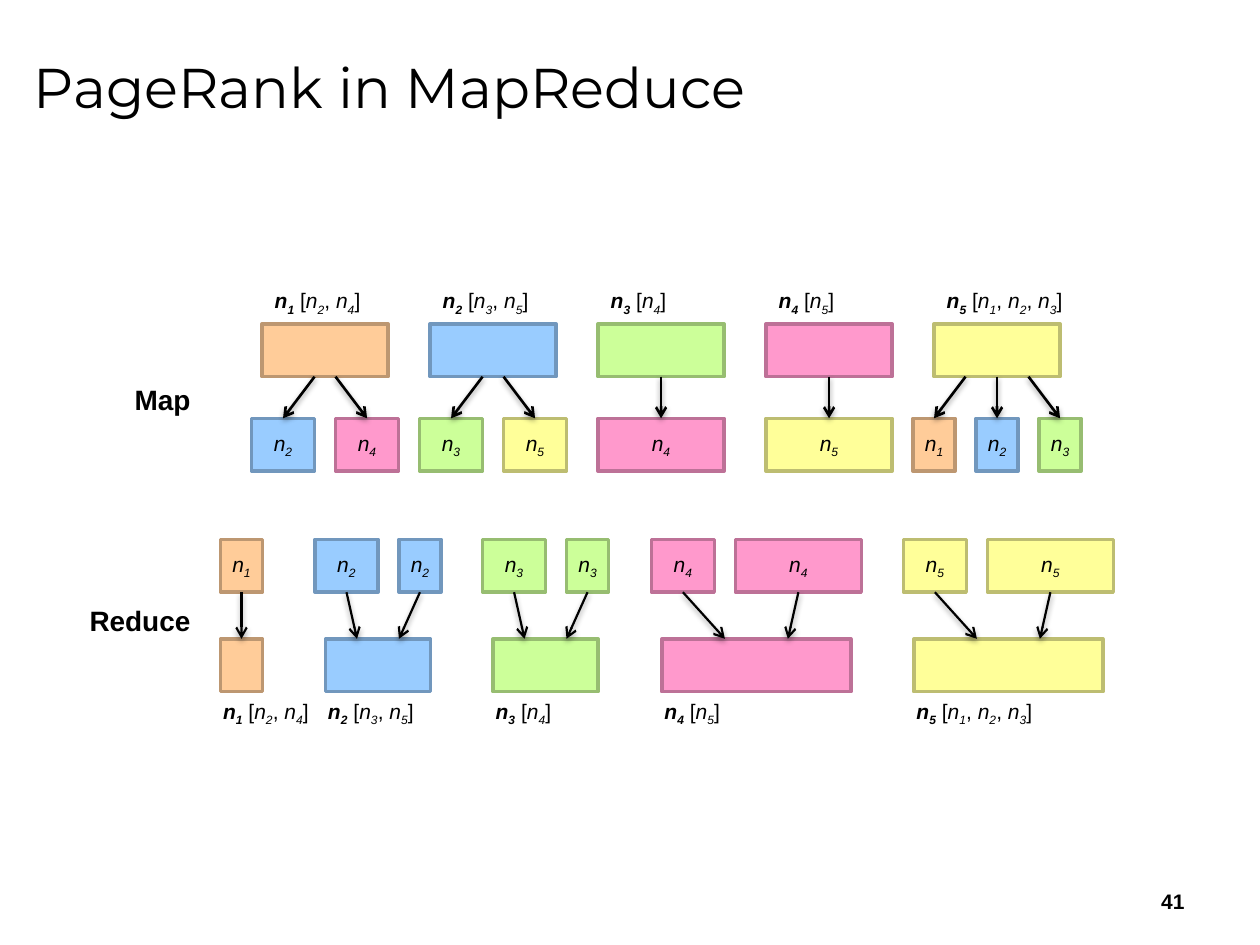
"""Build the slide showing one PageRank iteration as map and reduce steps."""
from itertools import groupby

from lxml import etree
from pptx import Presentation
from pptx.dml.color import RGBColor
from pptx.enum.shapes import MSO_CONNECTOR, MSO_SHAPE
from pptx.enum.text import MSO_ANCHOR, PP_ALIGN
from pptx.oxml import parse_xml
from pptx.oxml.ns import nsdecls, qn
from pptx.util import Inches, Pt

LEFT, CENTER, RIGHT = PP_ALIGN.LEFT, PP_ALIGN.CENTER, PP_ALIGN.RIGHT
TOP, MIDDLE = MSO_ANCHOR.TOP, MSO_ANCHOR.MIDDLE
RECT, STRAIGHT = MSO_SHAPE.RECTANGLE, MSO_CONNECTOR.STRAIGHT
NO_STYLE = "{2D5ABB26-0587-4C30-8999-92F81FD0307C}"

COLORS = {
    1: ("FFCC99", "BD9771"),
    2: ("99CCFF", "7197BD"),
    3: ("CCFF99", "97BD71"),
    4: ("FF99CC", "BD7197"),
    5: ("FFFF99", "BDBD71"),
}
LINKS = {1: [2, 4], 2: [3, 5], 3: [4], 4: [5], 5: [1, 2, 3]}
REDUCE_LEFT = {1: 1.75, 2: 2.5, 3: 3.83, 4: 5.17, 5: 7.17}
TEXTS = [
    ("PageRank in MapReduce", (0.17, 0.12, 9.5, 1.12),
     dict(size=32, font="Montserrat", anchor=MIDDLE)),
    ("Map", (0.96, 2.99, 0.65, 0.37),
     dict(size=16, bold=True, align=RIGHT, wrap=False)),
    ("Reduce", (0.6, 4.74, 1.01, 0.37),
     dict(size=16, bold=True, align=RIGHT, wrap=False)),
    ("41", (7.17, 6.95, 2.33, 0.4),
     dict(size=12, bold=True, align=RIGHT, anchor=MIDDLE)),
]

GAP = 1 / 6
BOX_H = 0.42
NODE_LEFT, NODE_W, NODE_STEP = 2.08, 1, 4 / 3
NODE_Y, MESSAGE_Y, INPUT_Y, RESULT_Y = 2.57, 3.32, 4.28, 5.07
MAP_LABEL_Y, REDUCE_LABEL_Y = 2.25, 5.51

prs = Presentation()
prs.slide_width, prs.slide_height = Inches(10), Inches(7.5)
s = prs.slides.add_slide(prs.slide_layouts[6])


def rgb(color):
    return RGBColor.from_string(color)


def add_run(p, text, size=12, font="Arial", bold=False, italic=False, sub=False):
    r = p.add_run()
    r.text = text
    r.font.size, r.font.name = Pt(size), font
    r.font.bold, r.font.italic = bold, italic
    r.font.color.rgb = rgb("000000")
    if sub:
        r.font._element.set("baseline", "-25000")


def add_node_text(p, text, bold_parts=0):
    def kind(char):
        return "sub" if char.isdigit() else "name" if char == "n" else "plain"

    for i, (part, chars) in enumerate(groupby(text, kind)):
        add_run(p, "".join(chars), bold=i < bold_parts,
                italic=part != "plain", sub=part == "sub")


def add_text(text, box, align=LEFT, anchor=TOP, wrap=True, **fmt):
    tf = s.shapes.add_textbox(*map(Inches, box)).text_frame
    tf.word_wrap, tf.vertical_anchor = wrap, anchor
    p = tf.paragraphs[0]
    p.alignment = align
    add_run(p, text, **fmt)


def add_label(node, x, y):
    frame = s.shapes.add_table(1, 1, *map(Inches, (x, y, 1.58, 0.31)))
    table = frame.table
    table.first_row = table.horz_banding = False
    table._tbl.tblPr.find(qn("a:tableStyleId")).text = NO_STYLE
    cell = table.cell(0, 0)
    cell.fill.background()
    links = ", ".join(f"n{link}" for link in LINKS[node])
    add_node_text(cell.text_frame.paragraphs[0], f"n{node} [{links}]", bold_parts=2)


def add_box(node, x, y, w, text=""):
    sp = s.shapes.add_shape(RECT, *map(Inches, (x, y, w, BOX_H)))
    fill, line = COLORS[node]
    sp.shadow.inherit = False
    sp.fill.solid()
    sp.fill.fore_color.rgb = rgb(fill)
    sp.line.color.rgb = rgb(line)
    sp.line.width = Pt(2)
    if text:
        tf = sp.text_frame
        tf.margin_left = tf.margin_right = tf.margin_top = tf.margin_bottom = 0
        tf.word_wrap, tf.vertical_anchor = False, MIDDLE
        tf.paragraphs[0].alignment = CENTER
        add_node_text(tf.paragraphs[0], text)


def add_arrow(x1, y1, x2, y2, width):
    line = s.shapes.add_connector(STRAIGHT, *map(Inches, (x1, y1, x2, y2)))
    line.line.color.rgb = rgb("000000")
    line.line.width = Pt(width)
    etree.SubElement(line.line._get_or_add_ln(), qn("a:tailEnd"), type="arrow")
    line._element.spPr.append(parse_xml(
        f'<a:effectLst {nsdecls("a")}><a:outerShdw blurRad="40000" dist="20000" '
        'dir="5400000" rotWithShape="0"><a:srgbClr val="000000">'
        '<a:alpha val="38000"/></a:srgbClr></a:outerShdw></a:effectLst>'))


def row_width(widths):
    return sum(widths) + GAP * (len(widths) - 1)


def add_row(nodes, x, y, widths):
    centers = []
    for node, w in zip(nodes, widths):
        add_box(node, x, y, w, f"n{node}")
        centers.append(x + w / 2)
        x += w + GAP
    return centers


def sign(value):
    return 0 if abs(value) < 0.01 else 1 if value > 0 else -1


def build_map():
    for i, (node, links) in enumerate(LINKS.items()):
        x = NODE_LEFT + i * NODE_STEP
        mid = x + NODE_W / 2
        add_label(node, x, MAP_LABEL_Y)
        add_box(node, x, NODE_Y, NODE_W)
        widths = [NODE_W / len(links)] * len(links)
        for end in add_row(links, mid - row_width(widths) / 2, MESSAGE_Y, widths):
            start = end - sign(end - mid) / 4
            add_arrow(start, NODE_Y + BOX_H, end, MESSAGE_Y, 1.5)


def build_reduce():
    for node, x in REDUCE_LEFT.items():
        widths = [NODE_W / len(links) for links in LINKS.values() if node in links]
        if node == 4:
            widths.sort()
        mid = x + row_width(widths) / 2
        result_w = sum(widths)
        result_x = mid - result_w / 2
        starts = add_row([node] * len(widths), x, INPUT_Y, widths)
        add_box(node, result_x, RESULT_Y, result_w)
        for start in starts:
            end = mid + sign(start - mid) * min(widths) / 2
            add_arrow(start, INPUT_Y + BOX_H, end, RESULT_Y, 1.25)
        add_label(node, result_x - 0.08, REDUCE_LABEL_Y)


for text, box, fmt in TEXTS:
    add_text(text, box, **fmt)
build_map()
build_reduce()
prs.save("out.pptx")
